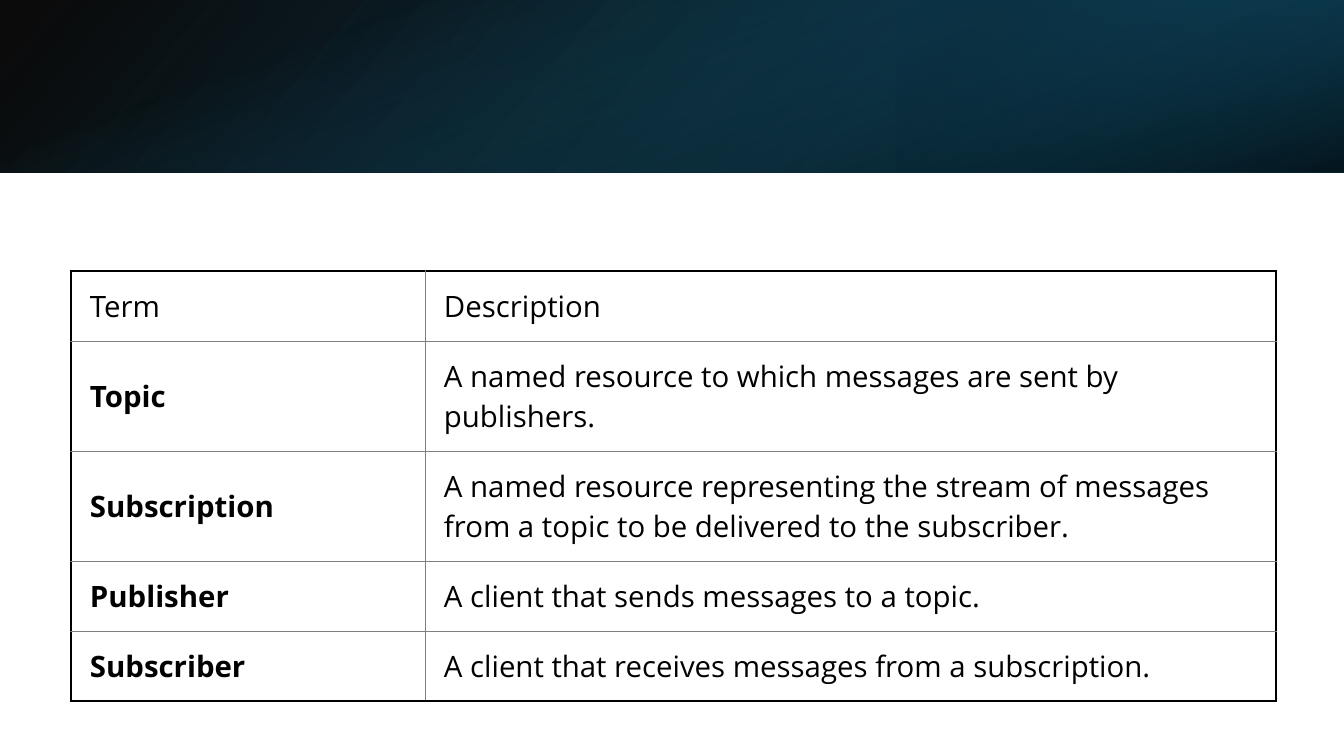
from lxml import etree
from pptx import Presentation
from pptx import util as u
from pptx.dml.color import RGBColor
from pptx.enum import shapes, text
from pptx.oxml import ns

WIDTH, HEIGHT = 1344, 756
SCALE = 12192000 / WIDTH
BANNER_HEIGHT = 173

BLACK = RGBColor(0x00, 0x00, 0x00)
GRAY = RGBColor(0x80, 0x80, 0x80)
NAVY = RGBColor(0x0B, 0x30, 0x41)
TEAL = RGBColor(0x10, 0x48, 0x62)
BLUE = RGBColor(0x15, 0x60, 0x82)

FONT = "Open Sans"
FONT_SIZE = u.Pt(21)
OUTER = (BLACK, 1.5)
INNER = (GRAY, 0.5)

COLUMN_WIDTHS = (354, 851)
ROW_HEIGHTS = (70, 70, 105, 70, 70)
TERMS = (
    ("Term", "Description"),
    ("Topic", "A named resource to which messages are sent by publishers."),
    ("Subscription", "A named resource representing the stream of messages "
                     "from a topic to be delivered to the subscriber."),
    ("Publisher", "A client that sends messages to a topic."),
    ("Subscriber", "A client that receives messages from a subscription."),
)


def px(length):
    return u.Emu(round(length * SCALE))


def add_child(parent, tag, **attributes):
    child = etree.SubElement(parent, ns.qn(tag))
    for name, value in attributes.items():
        child.set(name, str(value))
    return child


def add_color(parent, color, opacity=100):
    solid = add_child(parent, "a:srgbClr", val=color)
    if opacity < 100:
        add_child(solid, "a:alpha", val=opacity * 1000)


def add_gradient_box(page, place, stops, angle, rotation=0, flip=False):
    """Add a rectangle; stops are (position %, color, opacity %)."""
    box = page.shapes.add_shape(shapes.MSO_SHAPE.RECTANGLE, *map(px, place))
    box.shadow.inherit = False
    box.line.fill.background()
    box.rotation = rotation
    properties = box._element.spPr
    if flip:
        properties.find(ns.qn("a:xfrm")).set("flipH", "1")
    gradient = etree.Element(ns.qn("a:gradFill"))
    stop_list = add_child(gradient, "a:gsLst")
    for position, color, opacity in stops:
        stop = add_child(stop_list, "a:gs", pos=position * 1000)
        add_color(stop, color, opacity)
    add_child(gradient, "a:lin", ang=angle * 60000, scaled=0)
    properties.find(ns.qn("a:prstGeom")).addnext(gradient)


def add_banner(page):
    add_gradient_box(page, (0, 0, WIDTH, BANNER_HEIGHT),
                     ((0, BLACK, 96), (100, TEAL, 100)), 140, flip=True)
    add_gradient_box(page, (896, 0, 448, BANNER_HEIGHT),
                     ((19, NAVY, 68), (100, BLUE, 79)), 320, rotation=180, flip=True)
    offset = (WIDTH - BANNER_HEIGHT) / 2
    add_gradient_box(page, (offset, -offset, BANNER_HEIGHT, WIDTH),
                     ((23, BLUE, 0), (99, BLACK, 74)), 340, rotation=90)


def set_borders(cell, left, right, top, bottom):
    properties = cell._tc.get_or_add_tcPr()
    sides = {"a:lnL": left, "a:lnR": right, "a:lnT": top, "a:lnB": bottom}
    for index, (tag, (color, width)) in enumerate(sides.items()):
        line = etree.Element(ns.qn(tag), w=str(u.Pt(width)))
        add_color(add_child(line, "a:solidFill"), color)
        properties.insert(index, line)


def fill_cell(cell, wording, bold):
    cell.fill.background()
    cell.vertical_anchor = text.MSO_ANCHOR.MIDDLE
    cell.margin_left = px(19)
    cell.margin_right = cell.margin_top = cell.margin_bottom = px(15)
    span = cell.text_frame.paragraphs[0].add_run()
    span.text = wording
    span.font.name = FONT
    span.font.size = FONT_SIZE
    span.font.bold = bold
    span.font.color.rgb = BLACK


def add_term_table(page):
    rows, columns = len(TERMS), len(COLUMN_WIDTHS)
    table = page.shapes.add_table(
        rows, columns, px(71), px(271),
        px(sum(COLUMN_WIDTHS)), px(sum(ROW_HEIGHTS))).table
    table.first_row = table.horz_banding = False
    for column, width in zip(table.columns, COLUMN_WIDTHS):
        column.width = px(width)
    for row, height in zip(table.rows, ROW_HEIGHTS):
        row.height = px(height)
    for r, entry in enumerate(TERMS):
        for c, wording in enumerate(entry):
            cell = table.cell(r, c)
            fill_cell(cell, wording, bold=r > 0 and c == 0)
            set_borders(cell,
                        left=OUTER if c == 0 else INNER,
                        right=OUTER if c == columns - 1 else INNER,
                        top=OUTER if r == 0 else INNER,
                        bottom=OUTER if r == rows - 1 else INNER)


def main():
    deck = Presentation()
    deck.slide_width, deck.slide_height = px(WIDTH), px(HEIGHT)
    page = deck.slides.add_slide(deck.slide_layouts[6])
    add_banner(page)
    add_term_table(page)
    deck.save("out.pptx")


if __name__ == "__main__":
    main()
